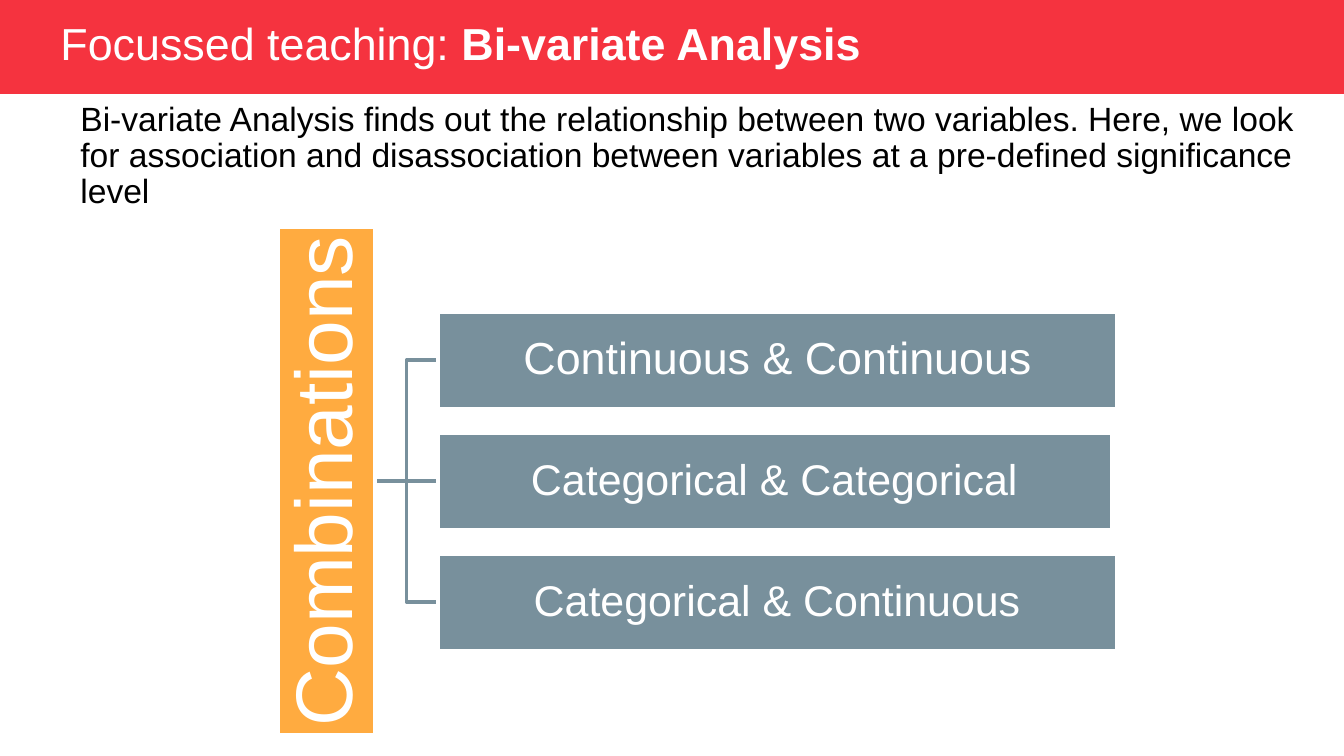
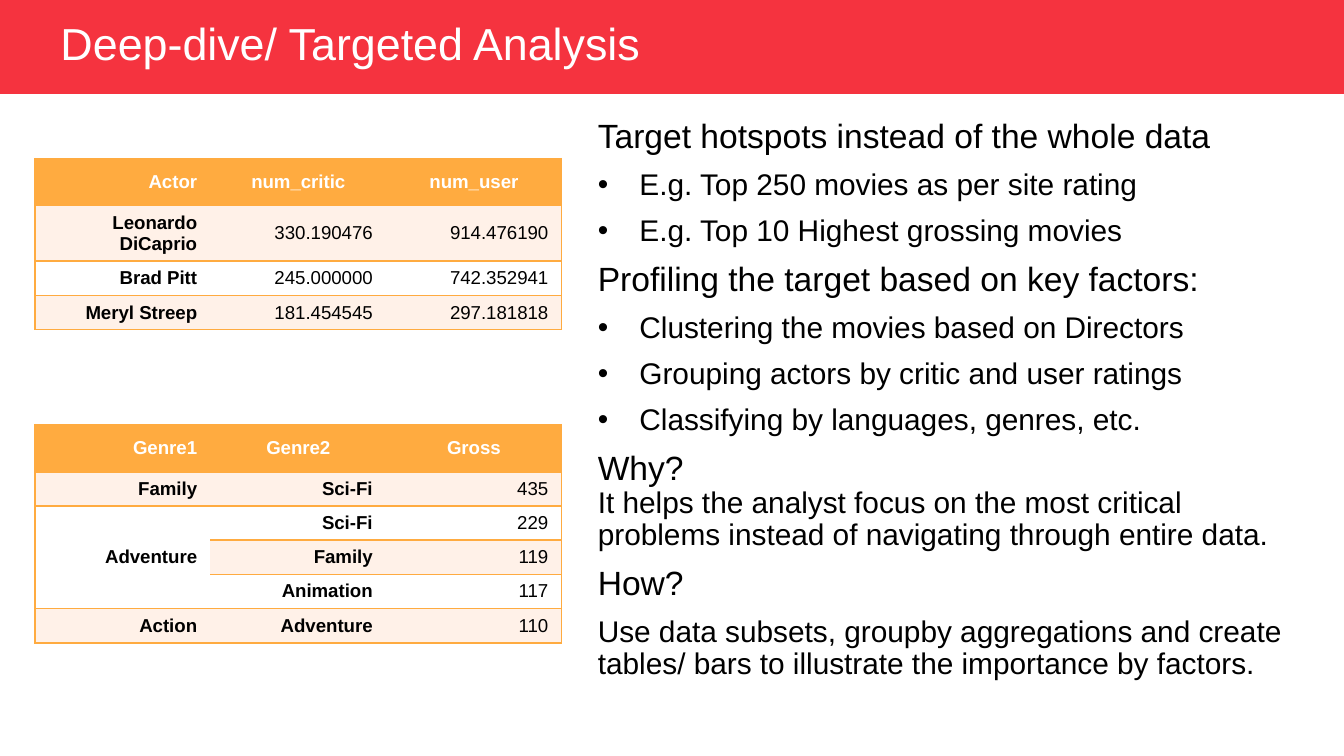
from lxml.etree import SubElement
from pptx import Presentation
from pptx.dml.color import RGBColor
from pptx.enum.shapes import MSO_CONNECTOR as Conn, MSO_SHAPE as Shape
from pptx.enum.text import MSO_ANCHOR as Anchor, MSO_AUTO_SIZE as Auto, PP_ALIGN as Align
from pptx.oxml import parse_xml
from pptx.oxml.ns import nsdecls, qn
from pptx.util import Inches, Pt

RED, AMBER, SLATE = "F5333F", "FFAB40", "78909C"
WHITE, BLACK, PEACH = "FFFFFF", "000000", "FFF1E8"


def tint(fill, color):
    fill.solid()
    fill.fore_color.rgb = RGBColor.from_string(color)


def put(para, text, size=18, color=BLACK, bold=False, align=Align.LEFT, lead=0.9):
    """Add a run; a vertical tab in the text breaks the line."""
    para.alignment = align
    para.line_spacing = lead
    for i, part in enumerate(text.split("\v")):
        if i:
            para.add_line_break()
        if part:
            run = para.add_run()
            run.text = part
            run.font.name = "Arial"
            run.font.size = Pt(size)
            run.font.bold = bold
            tint(run.font.fill, color)


prs = Presentation()
prs.slide_width = Inches(10)
prs.slide_height = prs.slide_width * 9 // 16
layout = prs.slide_layouts[5]

# Titles, and the red band on the shared layout
titles = [
    (7.96, [("Focussed teaching: ", False), ("Bi-variate Analysis", True)]),
    (6.27, [("Deep-dive/ Targeted Analysis", False)]),
]
slides = []
for width, runs in titles:
    slide = prs.slides.add_slide(layout)
    title = slide.shapes.title
    title.left, title.top = Inches(0.35), Inches(0.13)
    title.width, title.height = Inches(width), Inches(0.42)
    frame = title.text_frame
    frame.auto_size = Auto.NONE
    frame.vertical_anchor = Anchor.MIDDLE
    for text, bold in runs:
        put(frame.paragraphs[0], text, size=24, color=WHITE, bold=bold)
    slides.append(slide)
combos, dive = (slide.shapes for slide in slides)

band = combos.add_shape(Shape.RECTANGLE, 0, 0, Inches(10), Inches(0.7))
band.shadow.inherit = False
tint(band.fill, RED)
band.line.fill.background()
band.element.nvSpPr.cNvPr.set("id", "20")
layout.shapes.element.insert(2, band.element)

# Body texts: text, size, left indent, bulleted
bodies = [
    (combos, (0, 0.71, 10, 4.91), [
        ("Bi-variate Analysis finds out the relationship between two variables. "
         "Here, we look for association and disassociation between variables "
         "at a pre-defined significance level", 18, 0.5, False),
    ]),
    (dive, (4.1, 0.84, 5.76, 4.66), [
        ("Target hotspots instead of the whole data", 18, 0.25, False),
        ("E.g. Top 250 movies as per site rating", 16, 0.56, True),
        ("E.g. Top 10 Highest grossing movies", 16, 0.56, True),
        ("Profiling the target based on key factors:", 18, 0.25, False),
        ("Clustering the movies based on Directors", 16, 0.56, True),
        ("Grouping actors by critic and user ratings", 16, 0.56, True),
        ("Classifying by languages, genres, etc.", 16, 0.56, True),
        ("Why?\v", 18, 0.25, False),
        ("How?", 18, 0.25, False),
        ("Use data subsets, groupby aggregations and create tables/ bars "
         "to illustrate the importance by factors.", 16, 0.25, False),
    ]),
]
for shapes, place, items in bodies:
    frame = shapes.add_textbox(*map(Inches, place)).text_frame
    frame.word_wrap = True
    for i, (text, size, indent, dot) in enumerate(items):
        para = frame.add_paragraph() if i else frame.paragraphs[0]
        props = para._p.get_or_add_pPr()
        props.set("marL", str(Inches(indent)))
        props.set("indent", str(Inches(-0.31 if dot else 0)))
        if dot:
            SubElement(props, qn("a:buFont")).set("typeface", "Arial")
            SubElement(props, qn("a:buChar")).set("char", "•")
        if i:
            para.space_before = Pt(7.5)
        put(para, text, size=size)
        if text == "Why?\v":
            put(para, "It helps the analyst focus on the most critical problems "
                "instead of navigating through entire data.", size=16)

# Tree of combinations: the root is turned to read upwards
MID = 3.58
boxes = [
    ("Combinations", 0.54, MID, 3.78, AMBER, 43),
    ("Continuous & Continuous", 3.26, MID - 0.9, 5.05, SLATE, 24),
    ("Categorical & Categorical", 3.26, MID, 5.01, SLATE, 23),
    ("Categorical & Continuous", 3.26, MID + 0.9, 5.05, SLATE, 23),
]
nodes = []
for text, left, mid, width, color, size in boxes:
    box = combos.add_shape(Shape.RECTANGLE, Inches(left), Inches(mid - 0.36),
                           Inches(width), Inches(0.72))
    box.shadow.inherit = False
    tint(box.fill, color)
    tint(box.line.fill, WHITE)
    box.line.width = Pt(2)
    frame = box.text_frame
    frame.margin_left = frame.margin_right = Inches(0.02)
    frame.margin_top = frame.margin_bottom = Inches(0.02)
    frame.vertical_anchor = Anchor.MIDDLE
    put(frame.paragraphs[0], text, size=size, color=WHITE, align=Align.CENTER)
    nodes.append((box, mid))
root = nodes[0][0]
root.rotation = 270
for box, mid in nodes[1:]:
    kind = Conn.STRAIGHT if mid == MID else Conn.ELBOW
    link = combos.add_connector(kind, Inches(2.79), Inches(MID), Inches(3.26), Inches(mid))
    if mid == MID:
        link.begin_connect(root, 2)
        link.end_connect(box, 1)
        link.begin_x, link.begin_y = Inches(2.79), Inches(MID)
    tint(link.line.fill, SLATE)
    link.line.width = Pt(2)
    SubElement(link.element.spPr, qn("a:effectLst"))
    combos.element.insert(2, link.element)

# Tables: amber rules between rows and around the outside
HEAD, ROW = 0.35, 0.51 / 2
tables = [
    (1.18, [HEAD, 0.41, ROW, ROW], [
        ("Actor", "num_critic", "num_user"),
        ("Leonardo DiCaprio", "330.190476", "914.476190"),
        ("Brad Pitt", "245.000000", "742.352941"),
        ("Meryl Streep", "181.454545", "297.181818"),
    ]),
    (3.16, [HEAD] + [ROW] * 5, [
        ("Genre1", "Genre2", "Gross"),
        ("Family", "Sci-Fi", "435"),
        ("Adventure", "Sci-Fi", "229"),
        ("", "Family", "119"),
        ("", "Animation", "117"),
        ("Action", "Adventure", "110"),
    ]),
]
for top, heights, rows in tables:
    grid = dive.add_table(len(rows), 3, Inches(0.26), Inches(top),
                          Inches(3.92), Inches(sum(heights))).table
    for row, height in zip(grid.rows, heights):
        row.height = Inches(height)
    for r, row in enumerate(rows):
        for c, text in enumerate(row):
            cell = grid.cell(r, c)
            cell.vertical_anchor = Anchor.MIDDLE
            cell.margin_top = cell.margin_bottom = Inches(0.04)
            # Cells left empty join the one above and share its fill
            tint(cell.fill, AMBER if r == 0 else PEACH if r % 2 and text else WHITE)
            if text:
                put(cell.text_frame.paragraphs[0], text, size=10, lead=1.0,
                    color=BLACK if r else WHITE, bold=text[0].isalpha(),
                    align=Align.CENTER if r == 0 and c else Align.RIGHT)
            sides = {"L": c == 0, "R": c == 2, "T": True, "B": True}
            for i, (side, shown) in enumerate(sides.items()):
                paint = (f'<a:solidFill><a:srgbClr val="{AMBER}"/></a:solidFill>'
                         if shown else "<a:noFill/>")
                cell._tc.get_or_add_tcPr().insert(i, parse_xml(
                    f'<a:ln{side} {nsdecls("a")} w="12700">{paint}</a:ln{side}>'))
    if not rows[3][0]:
        grid.cell(2, 0).merge(grid.cell(4, 0))

prs.save("out.pptx")
